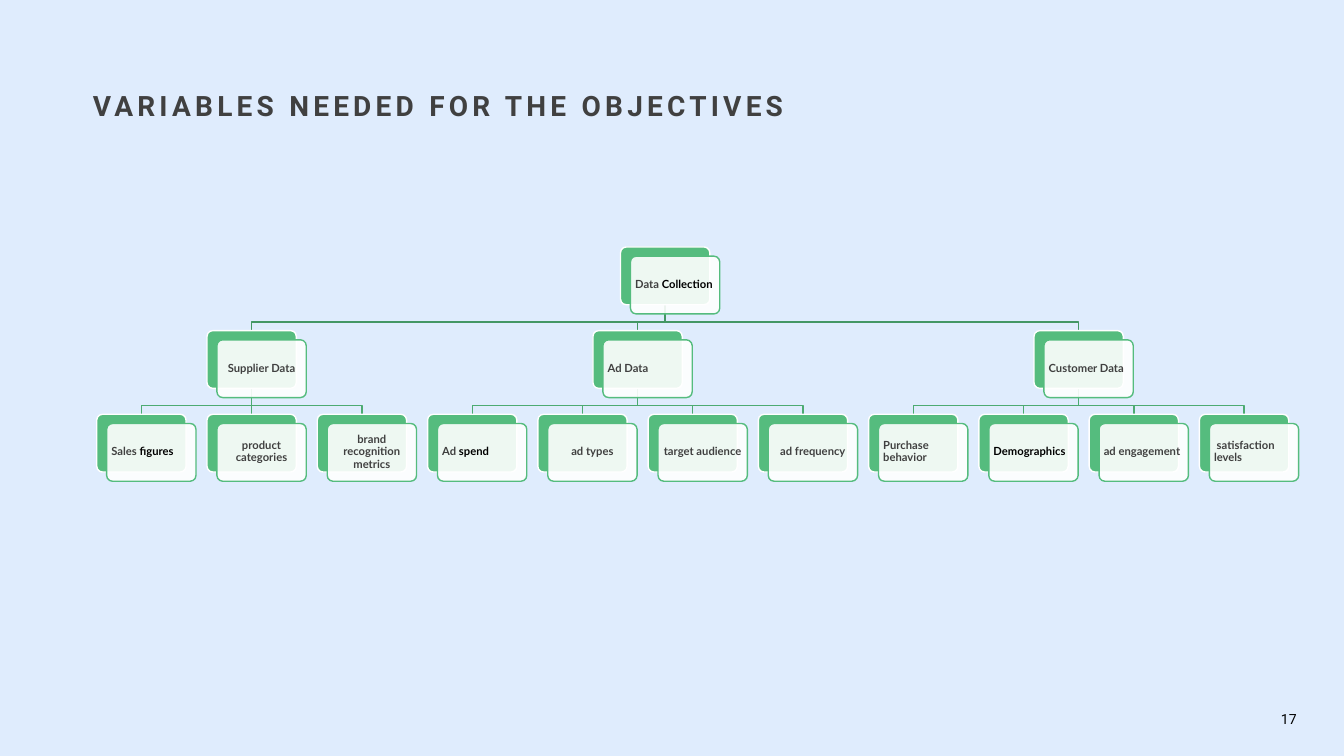
from dataclasses import dataclass

from lxml import etree
from pptx import Presentation
from pptx import util as u
from pptx.dml.color import RGBColor
from pptx.enum import shapes, text
from pptx.oxml import ns

LEFT, MID, RIGHT = text.PP_ALIGN.LEFT, text.PP_ALIGN.CENTER, text.PP_ALIGN.RIGHT


@dataclass(frozen=True)
class Theme:
    """Colours, fonts and type sizes."""
    back: str = "DFECFD"
    ink: str = "404040"
    dark: str = "000000"
    card: str = "55BC7E"
    white: str = "FFFFFF"
    links: tuple = ("449765", "4DAB72")
    head: str = "Roboto"
    body: str = "Lato"
    title: int = 20
    page: int = 10
    label: int = 8


T = Theme()

TREE = ("Data |Collection", LEFT, [
    ("Supplier Data", MID, [
        ("Sales |figures", LEFT, []),
        ("product categories", MID, []),
        ("brand recognition metrics", MID, []),
    ]),
    ("Ad Data", LEFT, [
        ("Ad |spend", LEFT, []),
        ("ad types", MID, []),
        ("target audience", MID, []),
        ("ad frequency", MID, []),
    ]),
    ("Customer Data", LEFT, [
        ("Purchase behavior", LEFT, []),
        ("|Demographics", LEFT, []),
        ("ad engagement", LEFT, []),
        (" satisfaction levels", LEFT, []),
    ]),
])


def put(obj, **vals):
    """Set each named value on an object."""
    for key, val in vals.items():
        setattr(obj, key, val)


def paint(fill, hue):
    """Give a fill one solid colour."""
    fill.solid()
    fill.fore_color.rgb = RGBColor.from_string(hue)


def write(shape, runs, align, anchor, pad=0, gap=1.0, **font):
    """Write coloured runs as one paragraph of a shape."""
    frame = shape.text_frame
    edge = u.Inches(pad)
    put(frame, word_wrap=True, auto_size=text.MSO_AUTO_SIZE.NONE,
        vertical_anchor=anchor, margin_left=edge, margin_right=edge,
        margin_top=edge, margin_bottom=edge)
    para = frame.paragraphs[0]
    put(para, alignment=align, line_spacing=gap)
    for words, hue in runs:
        run = para.add_run()
        run.text = words
        put(run.font, **font)
        run.font.color.rgb = RGBColor.from_string(hue)


def title(slide, box, words):
    """Place the spaced-out heading in its box."""
    head = slide.shapes.title
    put(head, **dict(zip(("left", "top", "width", "height"), box)))
    write(head, [(words, T.ink)], LEFT, text.MSO_ANCHOR.TOP, gap=0.9,
          name=T.head, size=u.Pt(T.title), bold=True)
    head.text_frame.paragraphs[0].runs[0].font._element.set("spc", "300")


def page(slide, box, num):
    """Place the page number in its box."""
    write(slide.shapes.add_textbox(*box), [(num, T.dark)], RIGHT,
          text.MSO_ANCHOR.MIDDLE, name=T.head, size=u.Pt(T.page))


def plate(group, box, fill, line):
    """Draw one rounded plate."""
    shape = group.shapes.add_shape(shapes.MSO_SHAPE.ROUNDED_RECTANGLE, *box)
    shape.adjustments[0] = 0.1
    shape.shadow.inherit = False
    paint(shape.fill, fill)
    paint(shape.line.fill, line)
    shape.line.width = u.Pt(1)
    return shape


def card(group, x, y, col, row, label, align):
    """Draw a green plate with a sheer labelled plate over it."""
    wide, high = int(0.81 * col), int(0.69 * row)
    base = plate(group, (x, y, wide, high), T.card, T.white)
    front = (x + int(0.09 * col), y + int(0.11 * row), wide, high)
    top = plate(group, front, T.white, T.card)
    hue = top.fill._xPr.find(".//" + ns.qn("a:srgbClr"))
    etree.SubElement(hue, ns.qn("a:alpha"), val="90000")
    runs = [run for run in zip(label.split("|"), (T.ink, T.dark)) if run[0]]
    write(top, runs, align, text.MSO_ANCHOR.MIDDLE, 0.03, 0.9,
          name=T.body, size=u.Pt(T.label), bold=True)
    return base


def link(group, up, down, hue):
    """Join two cards by a line behind all cards."""
    x, y = up.left + up.width // 2, up.top + up.height
    end, foot = down.left + down.width // 2, down.top
    if abs(x - end) < u.Pt(1):
        line = group.shapes.add_connector(
            shapes.MSO_CONNECTOR.STRAIGHT, x, y, end, foot)
        line.begin_connect(up, 2)
        line.end_connect(down, 0)
        etree.SubElement(line._element.spPr, ns.qn("a:effectLst"))
    else:
        bend = y + (foot - y) * 2 // 3
        pen = group.shapes.build_freeform(x, y)
        pen.add_line_segments([(x, bend), (end, bend), (end, foot)], close=False)
        line = pen.convert_to_shape()
        line.fill.background()
        line.shadow.inherit = False
    paint(line.line.fill, hue)
    line.line.width = u.Pt(1)
    group._element.insert(2, line._element)


def leaves(node):
    """Count the columns below a node."""
    return sum(map(leaves, node[2])) or 1


def branch(group, node, x, y, col, row, depth=0):
    """Draw a node centred over its children."""
    label, align, kids = node
    bases, left = [], x
    for kid in kids:
        bases.append(branch(group, kid, left, y + row, col, row, depth + 1))
        left += leaves(kid) * col
    if bases:
        x = (bases[0].left + bases[-1].left) // 2
    base = card(group, x, y, col, row, label, align)
    for low in bases:
        link(group, base, low, T.links[depth])
    return base


def chart(slide, box, tree):
    """Fill a box with the tree, one column per leaf and three rows."""
    x, y, wide, high = box
    branch(slide.shapes.add_group_shape(), tree, x, y,
           wide // leaves(tree), high // 3)


def area(*sides):
    """Turn inches into a box."""
    return tuple(u.Inches(side) for side in sides)


def main():
    """Build and save the slide."""
    deck = Presentation()
    put(deck, slide_width=u.Inches(13.33), slide_height=u.Inches(7.5))
    slide = deck.slides.add_slide(deck.slide_layouts[5])
    paint(slide.background.fill, T.back)
    title(slide, area(0.92, 0.92, 11.46, 0.61), "VARIABLES NEEDED FOR THE OBJECTIVES")
    page(slide, area(11.94, 6.98, 0.92, 0.31), "17")
    chart(slide, area(0.96, 2.45, 12.03, 2.49), TREE)
    deck.save("out.pptx")


if __name__ == "__main__":
    main()
